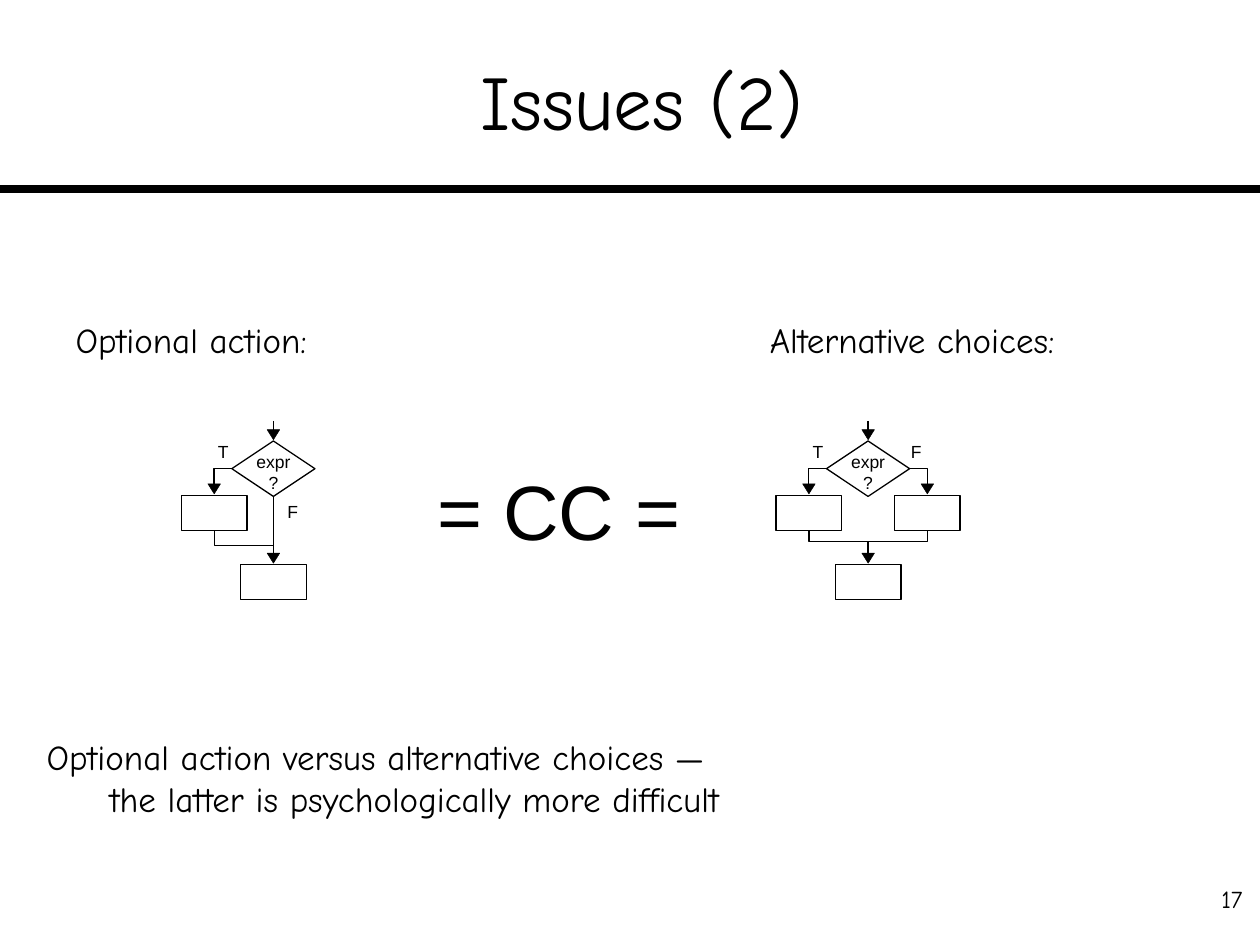
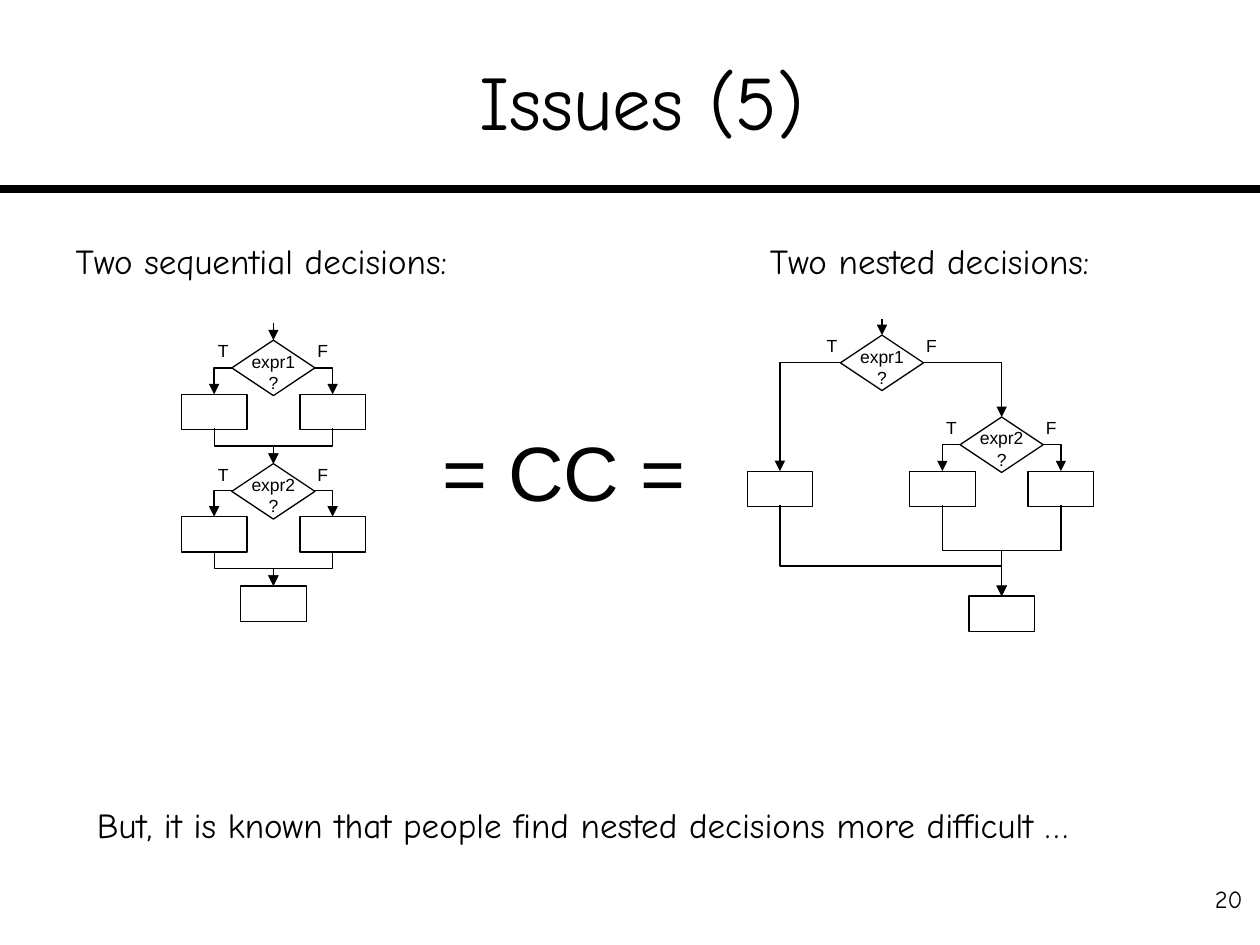
"""Build two slides that compare flowcharts with equal cyclomatic complexity."""
import dataclasses

import lxml.etree
import pptx
import pptx.dml.color
import pptx.enum.shapes
import pptx.enum.text
import pptx.oxml.ns
import pptx.util


@dataclasses.dataclass(frozen=True)
class Theme:
    ink: pptx.dml.color.RGBColor = pptx.dml.color.RGBColor(0, 0, 0)
    paper: pptx.dml.color.RGBColor = pptx.dml.color.RGBColor(255, 255, 255)
    prose_font: str = "Comic Neue"
    chart_font: str = "Arial"
    title_size: int = 44
    body_size: int = 20
    number_size: int = 14
    label_size: int = 10
    rule_width: float = 4.5
    flow_width: float = 0.75
    head_width: float = 0.25


theme = Theme()
PX = pptx.util.Inches(0.01)
SHAPES = pptx.enum.shapes.MSO_SHAPE
CONNECTORS = pptx.enum.shapes.MSO_CONNECTOR
ALIGN = pptx.enum.text.PP_ALIGN
ANCHOR = pptx.enum.text.MSO_ANCHOR
AUTO_SIZE = pptx.enum.text.MSO_AUTO_SIZE
qn = pptx.oxml.ns.qn

TITLE_FRAME = {"vertical_anchor": ANCHOR.MIDDLE, "auto_size": AUTO_SIZE.NONE, "word_wrap": True}
NUMBER_FRAME = {"word_wrap": True}
LABEL_FRAME = {"margin_left": PX, "margin_right": PX, "margin_top": 0, "margin_bottom": 0,
               "word_wrap": False, "auto_size": AUTO_SIZE.SHAPE_TO_FIT_TEXT}
DECISION_FRAME = {"margin_left": 10 * PX, "margin_right": 10 * PX, "margin_top": 6 * PX,
                  "margin_bottom": 0, "word_wrap": False, "vertical_anchor": ANCHOR.MIDDLE}

BOX_WIDTH, BOX_HEIGHT = 52, 28
DIAMOND_WIDTH, DIAMOND_HEIGHT = 66, 44
HEAD_WIDTH, HEAD_HEIGHT, HEAD_GAP = 10, 8, 9
BRANCH = 47
CORNER = DIAMOND_WIDTH // 2
BRANCH_DROP = 43


def write_text(shape, text, font_name, size, align, frame_formats):
    frame = shape.text_frame
    for name, value in frame_formats.items():
        setattr(frame, name, value)
    frame.text = text
    for paragraph in frame.paragraphs:
        paragraph.alignment = align
        font_formats = {"name": font_name, "size": pptx.util.Pt(size)}
        for run in paragraph.runs:
            for name, value in font_formats.items():
                setattr(run.font, name, value)
            run.font.color.rgb = theme.ink


def draw_line(slide, kind, start, end, width, arrow=False):
    (x1, y1), (x2, y2) = start, end
    connector = slide.shapes.add_connector(kind, *(round(n * PX) for n in (x1, y1, x2, y2)))
    connector.line.color.rgb = theme.ink
    connector.line.width = pptx.util.Pt(width)
    properties = connector._element.spPr
    if arrow:
        lxml.etree.SubElement(properties.find(qn("a:ln")), qn("a:tailEnd"), type="triangle")
    lxml.etree.SubElement(properties, qn("a:effectLst"))
    return connector


pages = [
    {
        "title": "Issues (2)", "number": "17", "solid_heads": True,
        "equation": (346, 368),
        "prose": [
            ("Optional action:", 59, 253, 206, 33),
            ("Alternative choices:", 610, 253, 262, 33),
            ("Optional action versus alternative choices —\n"
             "\tthe latter is psychologically more difficult", 36, 584, 651, 67),
        ],
        "decisions": [("expr", 217, 350), ("expr", 689, 350)],
        "entries": [(217, 334, 0), (689, 334, 1)],
        "labels": [("T", 172, 350), ("F", 227, 398), ("T", 644, 350), ("F", 722, 350)],
        "boxes": [(170, 393), (217, 448), (642, 393), (736, 393), (689, 448)],
        "turns": [((217 - CORNER, 372), (170, 393)),
                  ((689 - CORNER, 372), (642, 393)), ((689 + CORNER, 372), (736, 393))],
        "merges": [((170, 421), (217, 448), 0.65),
                   ((642, 421), (689, 448), 0.49), ((736, 421), (689, 448), 0.49)],
        "drops": [(0, (217, 448))],
    },
    {
        "title": "Issues (5)", "number": "20", "solid_heads": False,
        "equation": (350, 337),
        "prose": [
            ("Two sequential decisions:", 59, 190, 327, 33),
            ("Two nested decisions:", 610, 190, 285, 33),
            ("But, it is known that people find nested decisions more difficult …", 76, 638, 856, 33),
        ],
        "decisions": [("expr1", 217, 270), ("expr2", 217, 368),
                      ("expr1", 700, 266), ("expr2", 795, 331)],
        "entries": [(217, 256, 0), (700, 253, 2)],
        "labels": [(letter, x + shift, y)
                   for x, y in ((217, 270), (217, 368), (700, 266), (795, 331))
                   for letter, shift in (("T", -45), ("F", 34))],
        "boxes": [(x + side * BRANCH, y + BRANCH_DROP)
                  for x, y in ((217, 270), (217, 367), (795, 331)) for side in (-1, 1)]
                 + [(217, 465), (619, 374), (795, 473)],
        "turns": [((x + side * CORNER, y + 22), (x + side * BRANCH, y + BRANCH_DROP))
                  for x, y in ((217, 270), (217, 367), (795, 331)) for side in (-1, 1)]
                 + [((700 - CORNER, 288), (619, 374)), ((700 + CORNER, 288), (795, 331))],
        "merges": [((x + side * BRANCH, y), (x, target), 0.5)
                   for x, y, target in ((217, 340, 368), (217, 438, 465), (795, 401, 473))
                   for side in (-1, 1)] + [((619, 401), (795, 473), 0.67)],
        "drops": [],
    },
]

presentation = pptx.Presentation()
presentation.slide_width = 1000 * PX
presentation.slide_height = 750 * PX

for page in pages:
    slide = presentation.slides.add_slide(presentation.slide_layouts[5])
    slide.background.fill.solid()
    slide.background.fill.fore_color.rgb = theme.paper
    draw_line(slide, CONNECTORS.STRAIGHT, (0, 150), (1000, 150), theme.rule_width)

    title = slide.shapes.title
    for name, value in {"left": 35, "top": 17, "width": 949, "height": 125}.items():
        setattr(title, name, value * PX)
    write_text(title, page["title"], theme.prose_font, theme.title_size, ALIGN.CENTER, TITLE_FRAME)

    texts = [(page["number"], 945, 697, 51, 50, theme.prose_font, theme.number_size,
              ALIGN.RIGHT, NUMBER_FRAME),
             ("= CC =", *page["equation"], 213, 73, theme.chart_font, theme.title_size,
              ALIGN.LEFT, LABEL_FRAME)]
    texts += [(*prose, theme.prose_font, theme.body_size, ALIGN.LEFT, LABEL_FRAME)
              for prose in page["prose"]]
    texts += [(*label, 11, 17, theme.chart_font, theme.label_size, ALIGN.LEFT, LABEL_FRAME)
              for label in page["labels"]]
    for text, left, top, width, height, font_name, size, align, frame_formats in texts:
        text_box = slide.shapes.add_textbox(left * PX, top * PX, width * PX, height * PX)
        write_text(text_box, text, font_name, size, align, frame_formats)

    gap = HEAD_GAP if page["solid_heads"] else 0
    arrow = not page["solid_heads"]
    head_tips = {target for _, target in page["turns"]}
    head_tips |= {target for _, target, _ in page["merges"]}
    head_tips |= {page["decisions"][index][1:] for _, _, index in page["entries"]}

    nodes = [(SHAPES.FLOWCHART_DECISION, x, top, DIAMOND_WIDTH, DIAMOND_HEIGHT,
              theme.paper, theme.flow_width, label + "\n?")
             for label, x, top in page["decisions"]]
    nodes += [(SHAPES.FLOWCHART_PROCESS, x, top, BOX_WIDTH, BOX_HEIGHT,
               theme.paper, theme.flow_width, "") for x, top in page["boxes"]]
    if page["solid_heads"]:
        nodes += [(SHAPES.ISOSCELES_TRIANGLE, x, tip - HEAD_GAP, HEAD_WIDTH, HEAD_HEIGHT,
                   theme.ink, theme.head_width, "") for x, tip in sorted(head_tips)]
    diamonds = []
    for kind, x, top, width, height, fill, line_width, text in nodes:
        shape = slide.shapes.add_shape(kind, (x - width // 2) * PX, top * PX,
                                       width * PX, height * PX)
        shape.shadow.inherit = False
        shape.fill.solid()
        shape.fill.fore_color.rgb = fill
        shape.line.color.rgb = theme.ink
        shape.line.width = pptx.util.Pt(line_width)
        if kind == SHAPES.ISOSCELES_TRIANGLE:
            shape.rotation = 180
        if text:
            write_text(shape, text, theme.chart_font, theme.label_size, ALIGN.CENTER, DECISION_FRAME)
            diamonds.append(shape)

    for x, top, index in page["entries"]:
        target_top = page["decisions"][index][2]
        entry = draw_line(slide, CONNECTORS.STRAIGHT, (x, top), (x, target_top - gap),
                          theme.flow_width, arrow)
        if not gap:
            entry.end_connect(diamonds[index], 0)

    for index, (x, target_top) in page["drops"]:
        drop = draw_line(slide, CONNECTORS.STRAIGHT, (x, target_top - 54), (x, target_top - gap),
                         theme.flow_width, arrow)
        drop.begin_connect(diamonds[index], 2)

    for start, (x, target_top) in page["turns"]:
        turn = draw_line(slide, CONNECTORS.ELBOW, start, (x, target_top - gap),
                         theme.flow_width, arrow)
        turn._element.spPr.find(qn("a:prstGeom")).set("prst", "bentConnector2")

    for (x1, y1), (x2, target_top), bend in page["merges"]:
        y2 = target_top - gap
        middle_x, middle_y = (x1 + x2) / 2, (y1 + y2) / 2
        side = 1 if x1 > x2 else -1
        reach_x, reach_y = side * (y2 - y1) / 2, abs(x2 - x1) / 2
        merge = draw_line(slide, CONNECTORS.ELBOW, (middle_x - reach_x, middle_y - reach_y),
                          (middle_x + reach_x, middle_y + reach_y), theme.flow_width, arrow)
        properties = merge._element.spPr
        properties.find(qn("a:xfrm")).set("rot", str((180 - side * 90) * 60000))
        adjustments = properties.find(qn("a:prstGeom")).find(qn("a:avLst"))
        lxml.etree.SubElement(adjustments, qn("a:gd"), name="adj1",
                              fmla=f"val {round(bend * 100000)}")

presentation.save("out.pptx")
